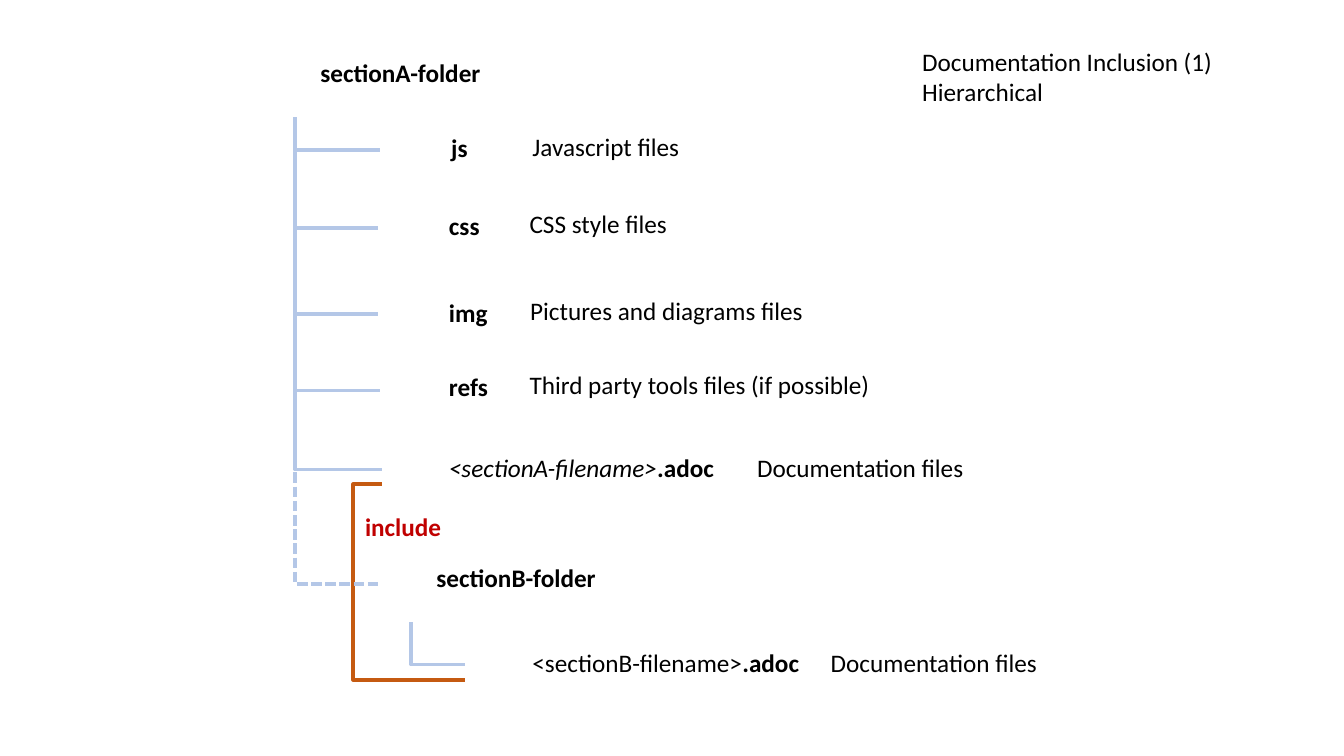
import pptx
import pptx.dml.color
import pptx.enum.dml
import pptx.enum.shapes
import pptx.enum.text
import pptx.oxml
import pptx.oxml.ns
import pptx.util
from pptx.util import Cm

BLUE, ORANGE, RED, BLACK = "B4C7E7", "C55A11", "C00000", "000000"
PLAIN, BOLD, ITALIC = {}, {"bold": True}, {"italic": True}
LINE_HEIGHT = 1.63


def color(hex_string):
    return pptx.dml.color.RGBColor.from_string(hex_string)


def fill_text(frame, runs, hex_string=BLACK):
    """Write (text, format) runs into the first paragraph of a frame."""
    frame.word_wrap = True
    frame.auto_size = pptx.enum.text.MSO_AUTO_SIZE.SHAPE_TO_FIT_TEXT
    frame.vertical_anchor = pptx.enum.text.MSO_ANCHOR.TOP
    paragraph = frame.paragraphs[0]
    paragraph.alignment = pptx.enum.text.PP_ALIGN.LEFT
    for index, (words, run_format) in enumerate(runs):
        if words == "\n":
            paragraph.add_line_break()
            continue
        run = paragraph.add_run()
        run.text = words
        font_format = {"name": "Calibri", "size": pptx.util.Pt(32), **run_format}
        for attribute, value in font_format.items():
            setattr(run.font, attribute, value)
        run.font.color.rgb = color(hex_string)


deck = pptx.Presentation()
deck.slide_width, deck.slide_height = Cm(60.2), Cm(33.86)
slide = deck.slides.add_slide(deck.slide_layouts[5])

# Title
title = slide.shapes.title
title.left, title.top, title.width, title.height = Cm(41.05), Cm(1.93), Cm(18.77), Cm(3)
fill_text(title.text_frame, [
    ("Documentation Inclusion (1)", PLAIN), ("\n", PLAIN), ("Hierarchical", PLAIN)])

# Tree lines: start x, start y, end x, end y, color, bracket depth, dashed
trunk = (13.21, 5.26)
tree_lines = [
    (*trunk, 17.04, 6.73, BLUE, 0, False),
    (*trunk, 16.92, 10.21, BLUE, 0, False),
    (*trunk, 16.94, 14.07, BLUE, 0, False),
    (*trunk, 17.04, 17.5, BLUE, 0, False),
    (*trunk, 17.09, 21.03, BLUE, 0, False),
    (18.42, 27.86, 20.83, 29.77, BLUE, 0, False),
    (17.09, 21.69, 20.83, 30.45, ORANGE, 34100, False),
    (*trunk, 17.04, 26.16, BLUE, 0, True),
]
for x1, y1, x2, y2, line_color, bracket_depth, dashed in tree_lines:
    ends = (x1, y1, x2, y2)
    if not bracket_depth:
        # A quarter turn about the centre makes the elbow go down, then right
        center_x, center_y = (x1 + x2) / 2, (y1 + y2) / 2
        half_width, half_height = (y2 - y1) / 2, (x2 - x1) / 2
        ends = (center_x + half_width, center_y - half_height,
                center_x - half_width, center_y + half_height)
    branch = slide.shapes.add_connector(
        pptx.enum.shapes.MSO_CONNECTOR.ELBOW, *[Cm(end) for end in ends])
    branch.line.color.rgb = color(line_color)
    branch.line.width = pptx.util.Pt(4.5)
    if dashed:
        branch.line.dash_style = pptx.enum.dml.MSO_LINE.SQUARE_DOT
    properties = branch._element.spPr
    geometry = properties.find(pptx.oxml.ns.qn("a:prstGeom"))
    if bracket_depth:
        for old_guides in geometry.findall(pptx.oxml.ns.qn("a:avLst")):
            geometry.remove(old_guides)
        geometry.append(pptx.oxml.parse_xml(
            f'<a:avLst {pptx.oxml.ns.nsdecls("a")}>'
            f'<a:gd name="adj1" fmla="val {-bracket_depth}"/></a:avLst>'))
    else:
        geometry.set("prst", "bentConnector2")
        properties.find(pptx.oxml.ns.qn("a:xfrm")).set("rot", str(270 * 60000))
    properties.append(pptx.oxml.parse_xml(
        f'<a:effectLst {pptx.oxml.ns.nsdecls("a")}/>'))

# Folder and file names with their descriptions: left, top, width, runs, color
labels = [
    (14.1, 2.46, 14.2, [("sectionA-folder", BOLD)], BLACK),
    (19.96, 5.82, 3.53, [("js", BOLD)], BLACK),
    (23.6, 5.74, 15.82, [("Javascript files", PLAIN)], BLACK),
    (19.86, 9.3, 3.53, [("css", BOLD)], BLACK),
    (23.47, 9.22, 15.82, [("CSS style files", PLAIN)], BLACK),
    (19.86, 13.18, 2.74, [("img", BOLD)], BLACK),
    (23.5, 13.08, 15.82, [("Pictures and diagrams files", PLAIN)], BLACK),
    (19.86, 16.51, 2.74, [("refs", BOLD)], BLACK),
    (23.47, 16.43, 15.82, [("Third party tools files (if possible)", PLAIN)], BLACK),
    (19.86, 20.12, 20.24, [("<sectionA-filename>", ITALIC), (".adoc", BOLD)], BLACK),
    (33.66, 20.12, 15.82, [("Documentation files", PLAIN)], BLACK),
    (16.1, 22.78, 15.82, [("include", BOLD)], RED),
    (19.3, 25.07, 14.2, [("sectionB-folder", BOLD)], BLACK),
    (23.6, 28.85, 20.24, [("<sectionB-filename>", PLAIN), (".adoc", BOLD)], BLACK),
    (36.96, 28.85, 15.82, [("Documentation files", PLAIN)], BLACK),
]
for left, top, width, runs, text_color in labels:
    label = slide.shapes.add_textbox(Cm(left), Cm(top), Cm(width), Cm(LINE_HEIGHT))
    fill_text(label.text_frame, runs, text_color)

deck.save("out.pptx")
